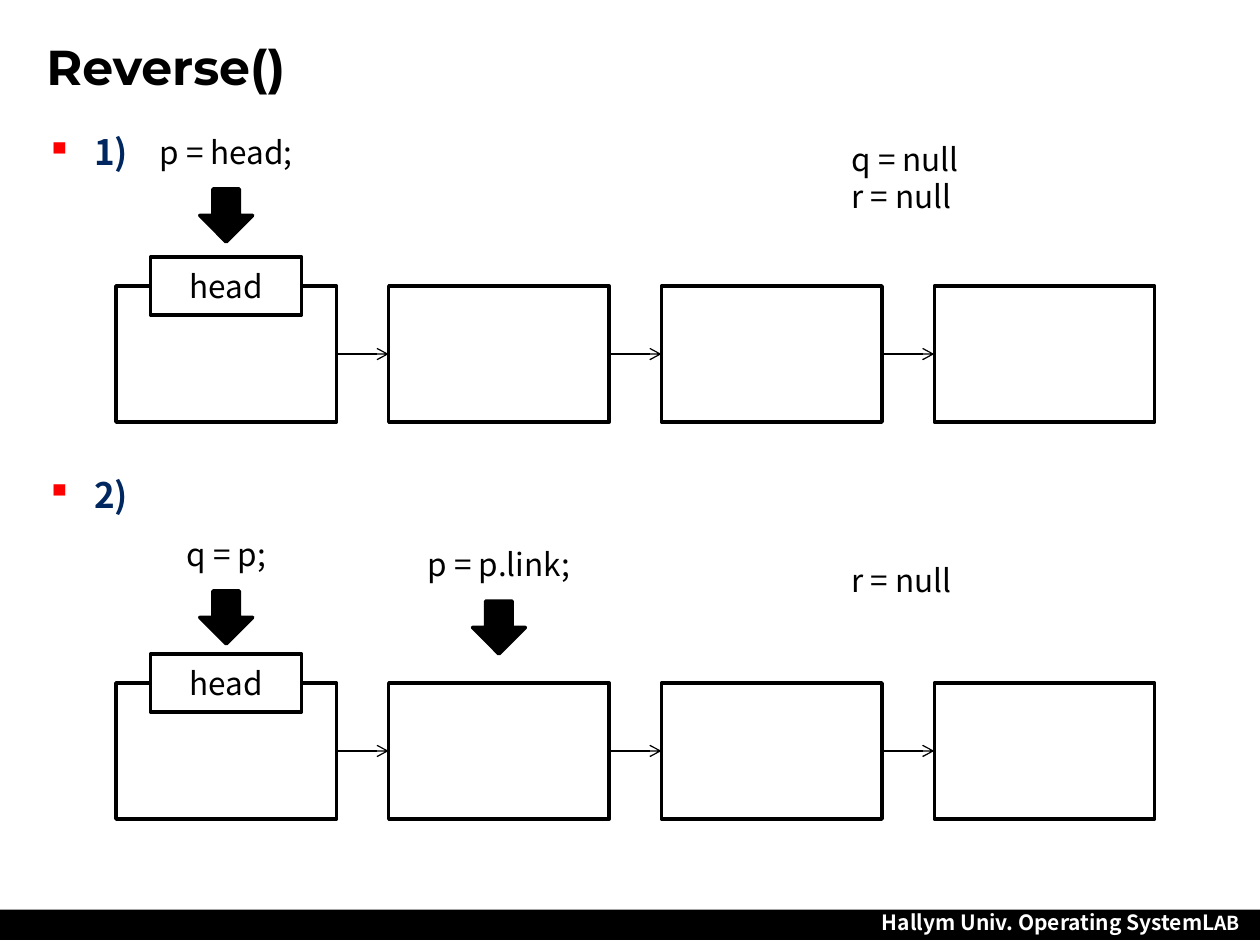
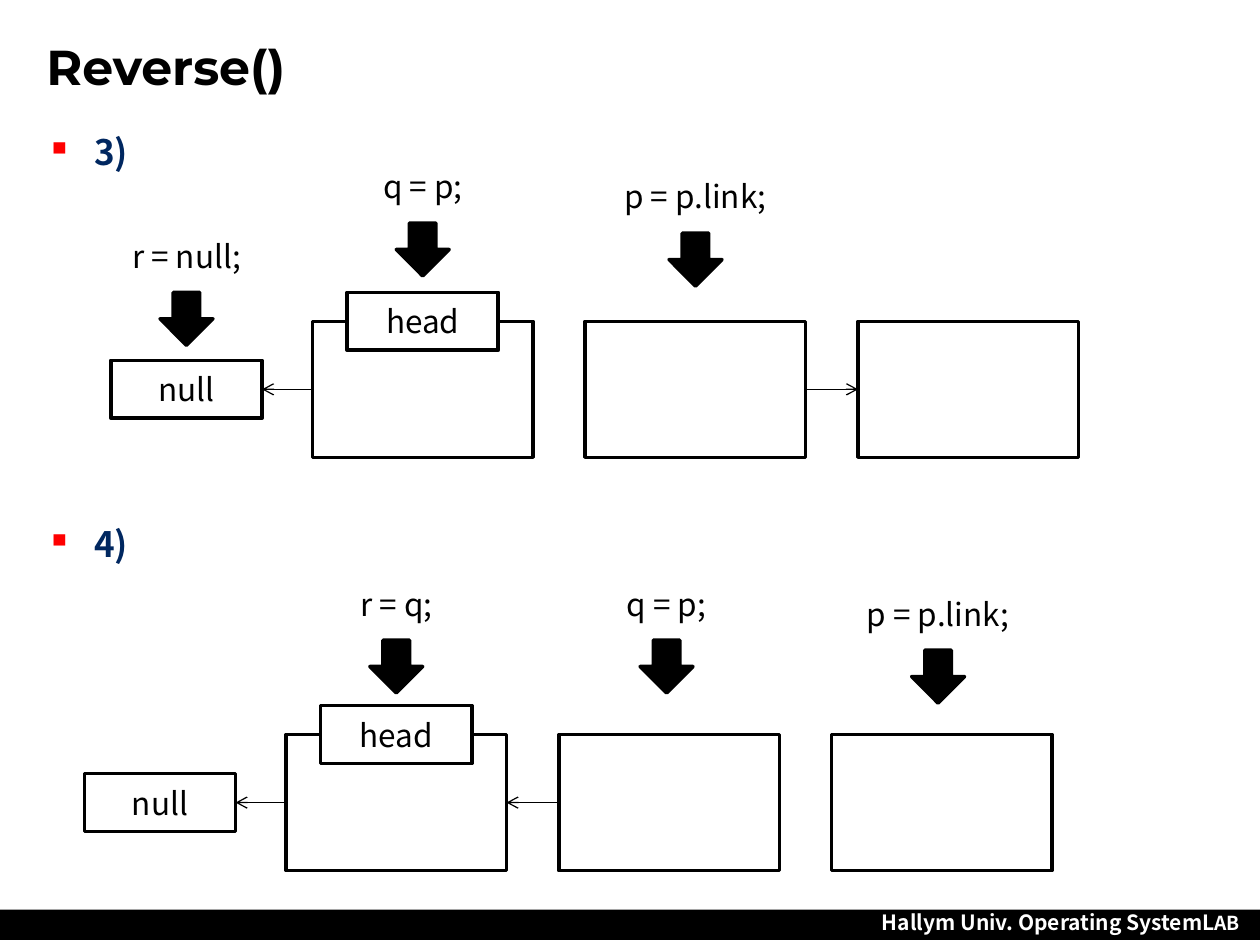
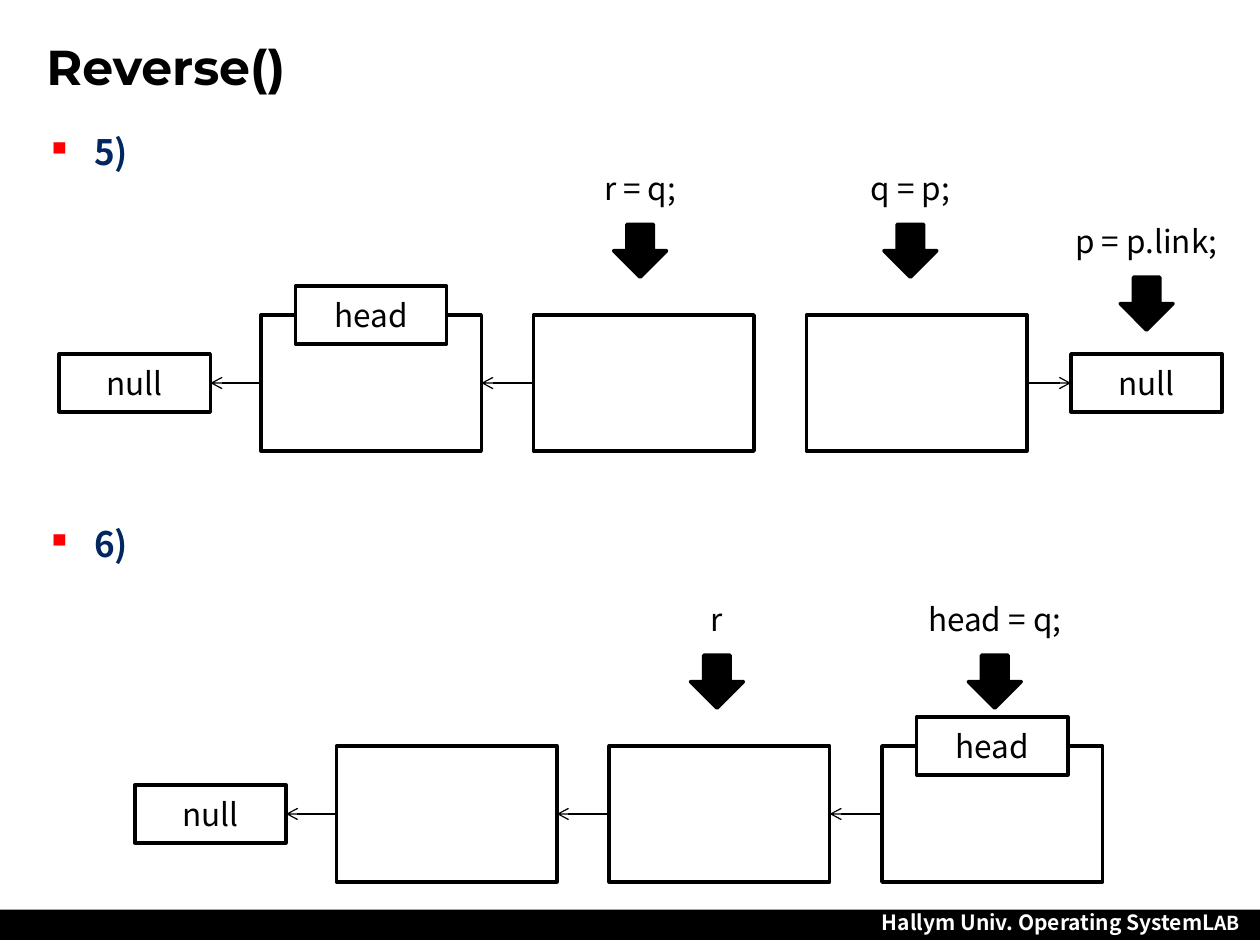
from dataclasses import dataclass

from lxml.etree import SubElement
from pptx import Presentation
from pptx.dml.color import RGBColor
from pptx.enum.shapes import MSO_CONNECTOR, MSO_SHAPE
from pptx.enum.text import MSO_ANCHOR, PP_ALIGN
from pptx.oxml.ns import qn
from pptx.util import Inches, Pt

BLACK, WHITE, NAVY, RED = "000000", "FFFFFF", "002760", "FF0000"
BODY_FONT, TITLE_FONT = "Noto Sans CJK KR", "Montserrat"
WIDTH, HEIGHT = 10, 7.5
MARGIN, CONTENT_WIDTH = 0.27, 9.45
NODE_WIDTH, NODE_HEIGHT, NODE_PITCH = 1.75, 1.08, 2.165
TAG_WIDTH, TAG_HEIGHT = 1.2, 0.46
NULL_GAP_BEFORE, NULL_GAP_AFTER = 0.4, 0.35
ARROW_SIZE, ARROW_DROP = 0.42, 0.49
VALUES_LEFT = 6.66
LEFT_SIDE, RIGHT_SIDE = 1, 3


@dataclass
class Pointer:
    """A label over a node; rise is measured up from the top of the chain."""
    text: str
    node: int
    rise: float
    nudge: float = 0


@dataclass
class Step:
    """One state of the list; links has one of '<', '>' or ' ' per gap."""
    heading: str
    heading_top: float
    left: float
    top: float
    boxes: int
    links: str
    head: int
    pointers: list
    null_before: bool = False
    null_after: bool = False
    values: tuple = ()
    values_top: float = 0


SLIDES = [
    [
        Step("1)", 0.99, 0.92, 2.27, 4, ">>>", 0,
             [Pointer("p = head;", 0, 1.26)],
             values=("q = null", "r = null"), values_top=1.06),
        Step("2)", 3.71, 0.92, 5.42, 4, ">>>", 0,
             [Pointer("q = p;", 0, 1.22), Pointer("p = p.link;", 1, 1.14)],
             values=("r = null",), values_top=4.4),
    ],
    [
        Step("3)", 0.99, 2.48, 2.55, 3, "< >", 1,
             [Pointer("r = null;", 0, 0.72), Pointer("q = p;", 1, 1.27),
              Pointer("p = p.link;", 2, 1.19)], null_before=True),
        Step("4)", 4.1, 2.27, 5.83, 3, "<< ", 1,
             [Pointer("r = q;", 1, 1.24), Pointer("q = p;", 2, 1.24, -0.02),
              Pointer("p = p.link;", 3, 1.16, -0.03)], null_before=True),
    ],
    [
        Step("5)", 0.99, 2.07, 2.5, 3, "<< >", 1,
             [Pointer("r = q;", 2, 1.21, -0.03), Pointer("q = p;", 3, 1.21, -0.05),
              Pointer("p = p.link;", 4, 0.79)], null_before=True, null_after=True),
        Step("6)", 4.1, 2.67, 5.92, 3, "<<<", 3,
             [Pointer("r", 2, 1.21, -0.02), Pointer("head = q;", 3, 1.21, 0.02)],
             null_before=True),
    ],
]


def color(code):
    return RGBColor.from_string(code)


def set_font(target, size, code=BLACK, bold=False, name=BODY_FONT):
    """Set the font of a paragraph or run, for Latin and East Asian text."""
    font = target.font
    font.name, font.size, font.bold = name, Pt(size), bold
    font.color.rgb = color(code)
    latin = font._element.find(qn("a:latin"))
    latin.addnext(latin.makeelement(qn("a:ea"), {"typeface": name}))


def add_text(page, lines, left, top, width, height, align=PP_ALIGN.LEFT, **style):
    box = page.shapes.add_textbox(*map(Inches, (left, top, width, height)))
    frame = box.text_frame
    frame.word_wrap = True
    frame.text = "\n".join(lines)
    for para in frame.paragraphs:
        para.alignment = align
        set_font(para, **{"size": 18, **style})
    return box


def add_block(page, kind, left, top, width, height, fill=WHITE, text=""):
    block = page.shapes.add_shape(kind, *map(Inches, (left, top, width, height)))
    block.shadow.inherit = False
    block.fill.solid()
    block.fill.fore_color.rgb = color(fill)
    block.line.color.rgb = color(BLACK)
    block.line.width = Pt(2)
    if text:
        block.text_frame.text = text
        block.text_frame.vertical_anchor = MSO_ANCHOR.MIDDLE
        para = block.text_frame.paragraphs[0]
        para.alignment = PP_ALIGN.CENTER
        set_font(para, 18)
    return block


def add_tag(page, text, left, top):
    return add_block(page, MSO_SHAPE.RECTANGLE, left, top, TAG_WIDTH, TAG_HEIGHT, text=text)


def add_link(page, start, start_side, end, end_side):
    link = page.shapes.add_connector(MSO_CONNECTOR.STRAIGHT, 0, 0, 0, 0)
    link.begin_connect(start, start_side)
    link.end_connect(end, end_side)
    link.line.color.rgb = color(BLACK)
    link.line.width = Pt(0.75)
    SubElement(link.line._get_or_add_ln(), qn("a:tailEnd"), type="arrow")
    SubElement(link._element.spPr, qn("a:effectLst"))


def add_heading(page, text, top):
    box = add_text(page, [text], MARGIN, top, CONTENT_WIDTH, 0.5,
                   size=20, code=NAVY, bold=True)
    properties = box.text_frame.paragraphs[0]._p.get_or_add_pPr()
    properties.set("marL", str(Inches(0.38)))
    properties.set("indent", str(-Inches(0.38)))
    bullet_color = properties.makeelement(qn("a:buClr"), {})
    SubElement(bullet_color, qn("a:srgbClr"), val=RED)
    bullet = properties.makeelement(qn("a:buChar"), {"char": "▪"})
    properties.insert(0, bullet_color)
    properties.insert(1, bullet)


def add_nodes(page, step):
    """Draw the boxes and null tags, and return them from left to right."""
    lefts = [step.left + column * NODE_PITCH for column in range(step.boxes)]
    nodes = [add_block(page, MSO_SHAPE.RECTANGLE, left, step.top, NODE_WIDTH, NODE_HEIGHT)
             for left in lefts]
    null_top = step.top + (NODE_HEIGHT - TAG_HEIGHT) / 2
    if step.null_before:
        left = step.left - NULL_GAP_BEFORE - TAG_WIDTH
        nodes.insert(0, add_tag(page, "null", left, null_top))
    if step.null_after:
        left = lefts[-1] + NODE_WIDTH + NULL_GAP_AFTER
        nodes.append(add_tag(page, "null", left, null_top))
    return nodes


def center_of(node):
    return (node.left + node.width / 2) / Inches(1)


def add_pointer(page, pointer, center, chain_top):
    middle, top = center + pointer.nudge, chain_top - pointer.rise
    add_text(page, [pointer.text], middle - NODE_WIDTH / 2, top, NODE_WIDTH, 0.4,
             align=PP_ALIGN.CENTER)
    add_block(page, MSO_SHAPE.DOWN_ARROW, middle - ARROW_SIZE / 2, top + ARROW_DROP,
              ARROW_SIZE, ARROW_SIZE, fill=BLACK)


def add_step(page, step):
    add_heading(page, step.heading, step.heading_top)
    nodes = add_nodes(page, step)
    for direction, before, after in zip(step.links, nodes, nodes[1:]):
        if direction == ">":
            add_link(page, before, RIGHT_SIDE, after, LEFT_SIDE)
        elif direction == "<":
            add_link(page, after, LEFT_SIDE, before, RIGHT_SIDE)
    add_tag(page, "head", center_of(nodes[step.head]) - TAG_WIDTH / 2,
            step.top - TAG_HEIGHT / 2)
    for pointer in step.pointers:
        add_pointer(page, pointer, center_of(nodes[pointer.node]), step.top)
    if step.values:
        add_text(page, step.values, VALUES_LEFT, step.values_top, 2.5, 0.4)


def add_footer(page):
    band = add_block(page, MSO_SHAPE.RECTANGLE, 0, 7.22, WIDTH, 0.24, fill=BLACK)
    band.line.fill.background()
    box = add_text(page, [""], 6.88, 7.17, 3.08, 0.3, align=PP_ALIGN.CENTER)
    box.text_frame.word_wrap = False
    para = box.text_frame.paragraphs[0]
    for text, size in (("Hallym Univ. Operating", 12), (" ", 11), ("SystemL", 12), ("AB", 11)):
        span = para.add_run()
        span.text = text
        set_font(span, size, WHITE, bold=True)


def add_frame(page):
    """Add the title and footer that every slide shares."""
    add_footer(page)
    title = add_text(page, ["Reverse()"], MARGIN, 0.13, CONTENT_WIDTH, 0.79,
                     size=28, bold=True, name=TITLE_FONT)
    title.text_frame.vertical_anchor = MSO_ANCHOR.MIDDLE


def main():
    deck = Presentation()
    deck.slide_width, deck.slide_height = Inches(WIDTH), Inches(HEIGHT)
    for steps in SLIDES:
        page = deck.slides.add_slide(deck.slide_layouts[6])
        add_frame(page)
        for step in steps:
            add_step(page, step)
    deck.save("out.pptx")


if __name__ == "__main__":
    main()
